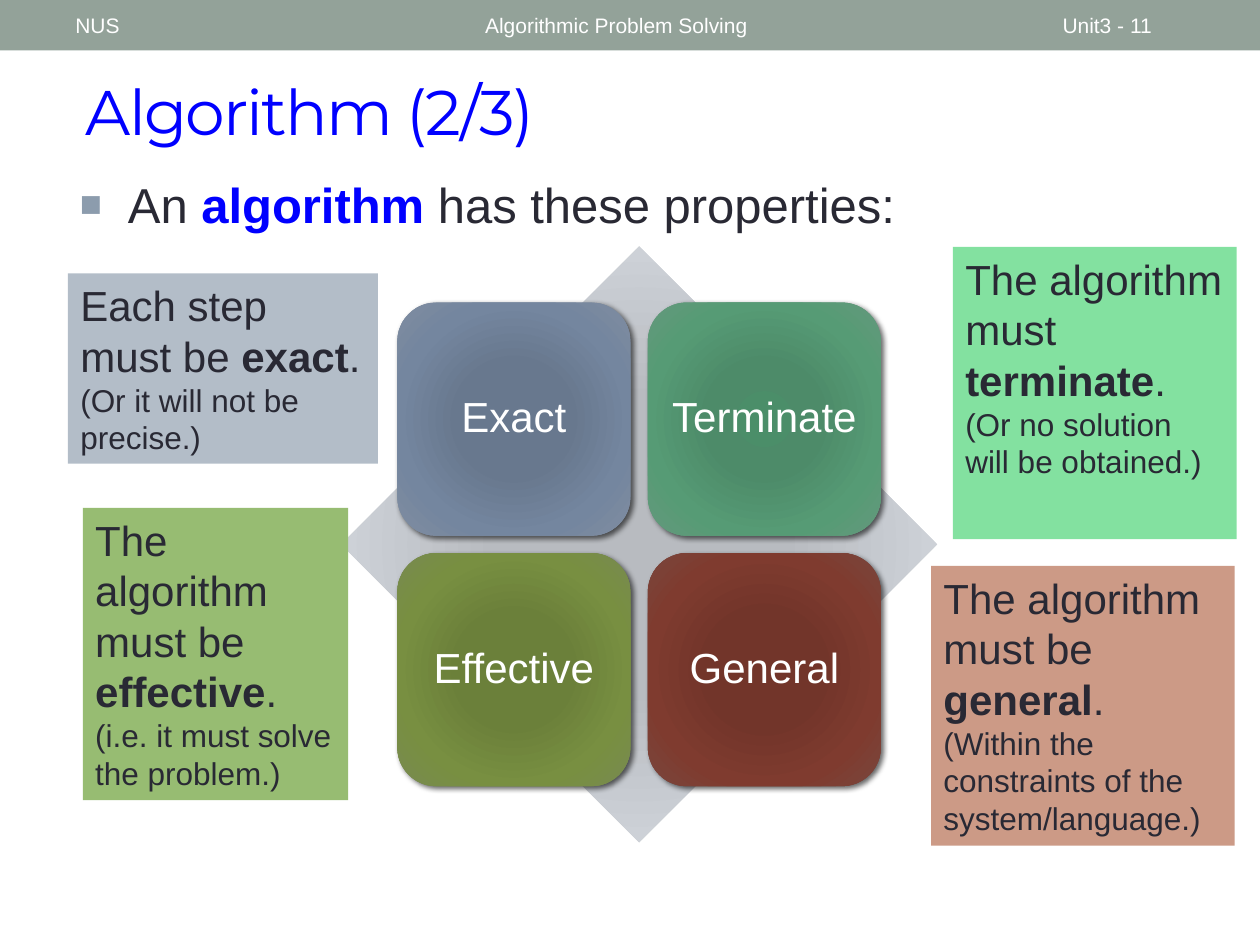
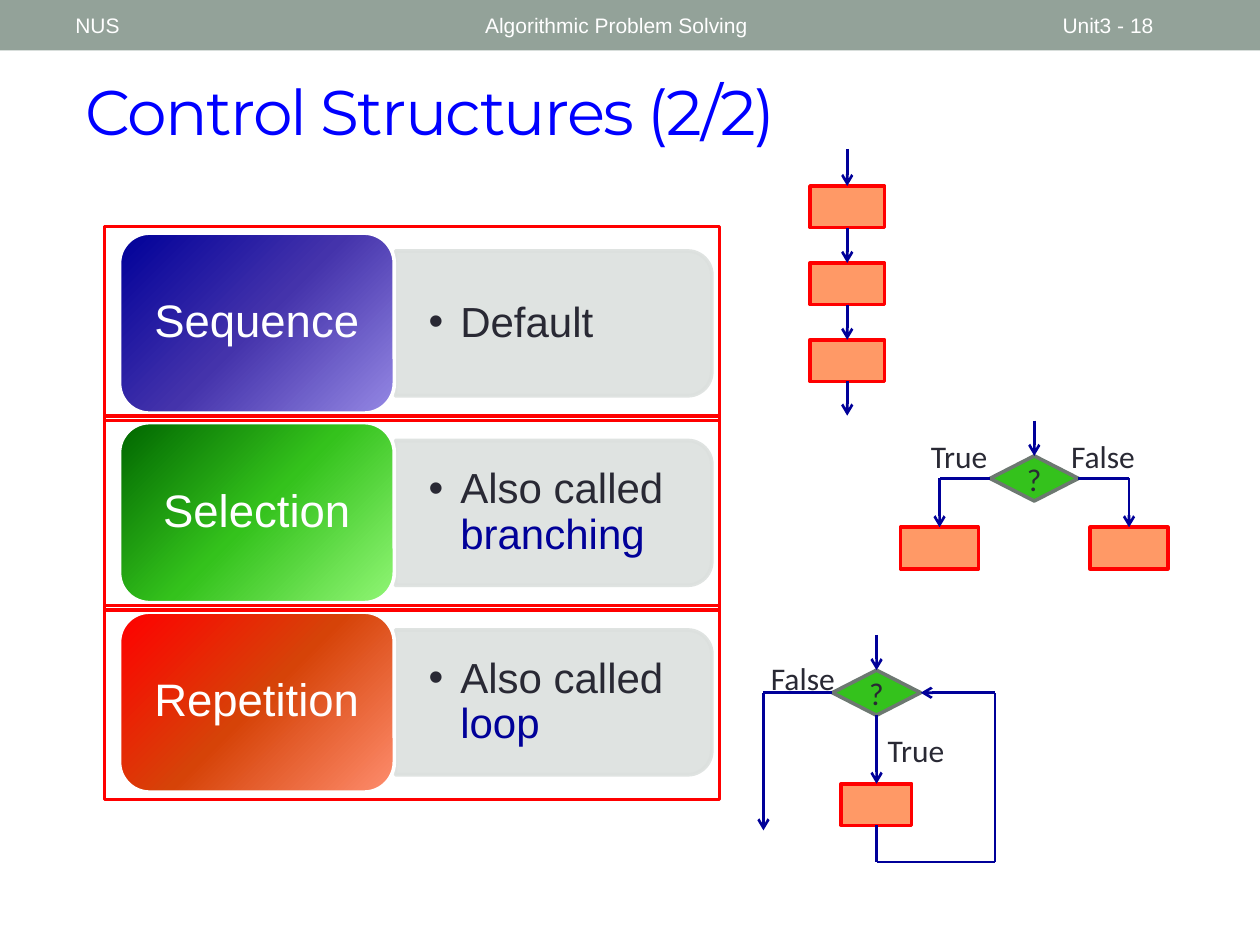
from lxml.etree import SubElement
from pptx import Presentation
from pptx.dml.color import RGBColor
from pptx.enum.shapes import MSO_CONNECTOR, MSO_SHAPE
from pptx.enum.text import MSO_ANCHOR, PP_ALIGN
from pptx.oxml.ns import qn
from pptx.util import Cm, Pt

COLORS = {
    "band": "93A299", "white": "FFFFFF", "title": "0000FF", "ink": "292934",
    "bullet": "8C9CAD", "navy": "000099", "red": "FF0000", "step": "FF9966",
    "decision": "34C21C", "decision_edge": "6D7871", "bar": "DCE0DE",
    "exact": "B3BDC8", "terminate": "83E1A0", "effective": "97BC72", "general": "CC9A86",
}
GRADIENTS = {
    "diamond": ["B7BBC1", "B8BBC0", "CDD1D7", "D8DBDF"],
    "Exact": ["677790", "68788E", "74869F", "808DA0"],
    "Terminate": ["4B8E69", "4D8B69", "569B75", "64987C"],
    "Effective": ["6C8238", "6B803A", "788F41", "788A50"],
    "General": ["743327", "72352A", "7F3B2F", "79463D"],
    "Sequence": ["000099", "4433AB", "9588E4"],
    "Selection": ["006600", "34C21C", "91F676"],
    "Repetition": ["FF0000", "D64308", "FE8D6E"],
}
STEP_HEIGHT = 0.84
DECISION = (1.78, 0.91)


def rgb(name):
    return RGBColor.from_string(COLORS[name])


def node(parent, tag, **attributes):
    return SubElement(parent, qn(f"a:{tag}"), {key: str(value) for key, value in attributes.items()})


def write(shape, text, size=18, font="Arial", color="ink", align=PP_ALIGN.LEFT,
          anchor=MSO_ANCHOR.TOP, insets=(0.25, 0.13), wrap=True, line_spacing=None,
          bullet=None, indent=0, bullet_color=None, bullet_size=100, tracking=None):
    frame = shape.text_frame
    frame.word_wrap = wrap
    frame.vertical_anchor = anchor
    frame.margin_left = frame.margin_right = Cm(insets[0])
    frame.margin_top = frame.margin_bottom = Cm(insets[1])
    paragraphs = [[(text, {})]] if isinstance(text, str) else text
    for index, runs in enumerate(paragraphs):
        paragraph = frame.add_paragraph() if index else frame.paragraphs[0]
        if bullet:
            properties = paragraph._p.get_or_add_pPr()
            properties.set("marL", str(Cm(indent)))
            properties.set("indent", str(-Cm(indent)))
            if bullet_color:
                node(node(properties, "buClr"), "srgbClr", val=COLORS[bullet_color])
            node(properties, "buSzPct", val=bullet_size * 1000)
            node(properties, "buFont", typeface="Arial")
            node(properties, "buChar", char=bullet)
        paragraph.alignment = align
        paragraph.line_spacing = line_spacing
        for words, style in runs:
            run = paragraph.add_run()
            run.text = words
            run.font.name = font
            run.font.size = Pt(style.get("size", size))
            run.font.bold = style.get("bold", False)
            run.font.color.rgb = rgb(style.get("color", color))
            if tracking:
                run._r.get_or_add_rPr().set("spc", str(tracking * 100))


def label(slide, box, text, **style):
    write(slide.shapes.add_textbox(*map(Cm, box)), text, **style)


def draw(slide, kind, box, fill=None, edge=None):
    shape = slide.shapes.add_shape(kind, *map(Cm, box))
    shape.shadow.inherit = False
    if fill:
        shape.fill.solid()
        shape.fill.fore_color.rgb = rgb(fill)
    else:
        shape.fill.background()
    if edge:
        shape.line.color.rgb = rgb(edge)
        shape.line.width = Pt(2.08)
    else:
        shape.line.fill.background()
    return shape


def blend(shape, name, stops, angle=None):
    properties = shape._element.spPr
    shape.fill.background()
    plain = properties.find(qn("a:noFill"))
    gradient = node(properties, "gradFill", rotWithShape=1)
    stop_list = node(gradient, "gsLst")
    for position, color in zip(stops, GRADIENTS[name]):
        node(node(stop_list, "gs", pos=position * 1000), "srgbClr", val=color)
    if angle is None:
        focus = dict.fromkeys("ltrb", 100000)
        node(node(gradient, "path", path="circle"), "fillToRect", **focus)
    else:
        node(gradient, "lin", ang=angle * 60000, scaled=0)
    properties.replace(plain, gradient)


def cast_shadow(shape):
    effects = shape._element.spPr.find(qn("a:effectLst"))
    shadow = node(effects, "outerShdw", blurRad=Pt(3), dist=Pt(2), dir=45 * 60000)
    node(node(shadow, "srgbClr", val="000000"), "alpha", val=60000)


def link(slide, start, end, arrow=True):
    points = [(0, 0) if hasattr(place[0], "shape_id") else place for place in (start, end)]
    line = slide.shapes.add_connector(MSO_CONNECTOR.STRAIGHT, *(Cm(v) for p in points for v in p))
    if hasattr(start[0], "shape_id"):
        line.begin_connect(*start)
    if hasattr(end[0], "shape_id"):
        line.end_connect(*end)
    line.line.color.rgb = rgb("navy")
    line.line.width = Pt(1.5)
    if arrow:
        node(line.line._get_or_add_ln(), "tailEnd", type="arrow")
    node(line._element.spPr, "effectLst")


def start_slide(deck, title, number):
    slide = deck.slides.add_slide(deck.slide_layouts[6])
    draw(slide, MSO_SHAPE.RECTANGLE, (0, 0, 25.4, 1.02), "band")
    label(slide, (1.48, 1.27, 22.66, 1.9), title, size=36, font="Montserrat", color="title",
          anchor=MSO_ANCHOR.MIDDLE, tracking=-1)
    for left, width, words in ((1.27, 8.05, "NUS"), (9.53, 11.43, "Algorithmic Problem Solving"),
                               (21.17, 2.97, f"Unit3 - {number}")):
        label(slide, (left, 0.05, width, 0.91), words, size=12, color="white",
              anchor=MSO_ANCHOR.MIDDLE)
    return slide


def property_matrix(slide, left, top, side):
    diamond = draw(slide, MSO_SHAPE.DIAMOND, (left, top, side, side))
    blend(diamond, "diamond", (0, 34, 70, 100))
    tile, pitch = 4.7, 5.05
    margin = (side - pitch - tile) / 2
    for index, name in enumerate(("Exact", "Terminate", "Effective", "General")):
        row, column = divmod(index, 2)
        box = (left + margin + column * pitch, top + margin + row * pitch, tile, tile)
        shape = draw(slide, MSO_SHAPE.ROUNDED_RECTANGLE, box)
        blend(shape, name, (0, 34, 70, 100))
        cast_shadow(shape)
        write(shape, name, size=24, color="white", align=PP_ALIGN.CENTER,
              anchor=MSO_ANCHOR.MIDDLE, line_spacing=0.9)


def property_note(slide, box, name, rule, remark, same_paragraph=False):
    statement = [(rule, {}), (name, {"bold": True}), (". " if same_paragraph else ".", {})]
    aside = [(remark, {"size": 18})]
    paragraphs = [statement + aside] if same_paragraph else [statement, aside]
    write(draw(slide, MSO_SHAPE.RECTANGLE, box, name), paragraphs, size=24)


def structure_row(slide, left, top, name, remark):
    bar = draw(slide, MSO_SHAPE.ROUND_2_SAME_RECTANGLE,
               (left + 7.59, top - 1.24, 2.92, 6.38), "bar", "bar")
    bar.rotation = 90
    for color in bar._element.spPr.iter(qn("a:srgbClr")):
        node(color, "alpha", val=90000)
    label(slide, (left + 5.84, top + 0.64, 6.25, 2.62), [remark], size=24,
          anchor=MSO_ANCHOR.MIDDLE, insets=(0.69, 0.36), line_spacing=0.9,
          bullet="•", indent=0.64)
    tile = draw(slide, MSO_SHAPE.ROUNDED_RECTANGLE, (left + 0.3, top + 0.13, 5.54, 3.63),
                edge="white")
    blend(tile, name, (0, 50, 100), angle=45)
    write(tile, name, size=26, color="white", align=PP_ALIGN.CENTER,
          anchor=MSO_ANCHOR.MIDDLE, line_spacing=0.9)


def step(slide, middle, top, width):
    return draw(slide, MSO_SHAPE.RECTANGLE, (middle - width / 2, top, width, STEP_HEIGHT),
                "step", "red")


def decision(slide, middle, top):
    width, height = DECISION
    shape = draw(slide, MSO_SHAPE.FLOWCHART_DECISION, (middle - width / 2, top, width, height),
                 "decision", "decision_edge")
    write(shape, "?", font="Calibri", align=PP_ALIGN.CENTER, anchor=MSO_ANCHOR.MIDDLE,
          insets=(0, 0), wrap=False)
    return shape


def outcome(slide, left, top, words):
    label(slide, (left, top, 1.79, 1.02), words, font="Calibri", align=PP_ALIGN.CENTER,
          wrap=False)


def sequence_flow(slide, middle, top):
    previous = (middle, top)
    for index in range(3):
        current = step(slide, middle, top + 0.75 + index * 1.55, 1.5)
        link(slide, previous, (current, 0))
        previous = (current, 2)
    link(slide, previous, (middle, top + 5.38))


def selection_flow(slide, middle, top):
    test = decision(slide, middle, top + 0.71)
    level = top + 0.71 + DECISION[1] / 2
    link(slide, (middle, top), (test, 0))
    for site, reach in ((1, -1.91), (3, 1.91)):
        branch = step(slide, middle + reach, top + 2.15, 1.57)
        corner = (middle + reach, level)
        link(slide, (test, site), corner, arrow=False)
        link(slide, corner, (branch, 0))
    outcome(slide, middle - 2.41, top + 0.21, "True")
    outcome(slide, middle + 0.49, top + 0.21, "False")


def repetition_flow(slide, middle, top):
    test = decision(slide, middle, top + 0.71)
    body = step(slide, middle, top + 3, 1.42)
    level, bottom = top + 0.71 + DECISION[1] / 2, top + 4.58
    leave, back = middle - 2.28, middle + 2.39
    link(slide, (middle, top), (test, 0))
    link(slide, (test, 2), (body, 0))
    link(slide, (body, 2), (middle, bottom), arrow=False)
    link(slide, (middle, bottom), (back, bottom), arrow=False)
    link(slide, (back, bottom), (back, level), arrow=False)
    link(slide, (back, level), (test, 3))
    link(slide, (test, 1), (leave, level), arrow=False)
    link(slide, (leave, level), (leave, top + 3.94))
    outcome(slide, middle - 0.1, top + 1.8, "True")
    outcome(slide, middle - 2.38, top + 0.36, "False")


def algorithm_slide(deck):
    slide = start_slide(deck, "Algorithm (2/3)", 11)
    label(slide, (1.36, 3.38, 21.92, 2.03),
          [[("An ", {}), ("algorithm ", {"bold": True, "color": "title"}),
            ("has these properties:", {})]],
          size=28, bullet="■", indent=0.97, bullet_color="bullet", bullet_size=75)
    property_matrix(slide, 6.88, 4.97, 12.01)
    property_note(slide, (1.37, 5.51, 6.25, 3.84), "exact", "Each step must be ",
                  "(Or it will not be precise.)", same_paragraph=True)
    property_note(slide, (19.21, 4.98, 5.72, 5.89), "terminate", "The algorithm must ",
                  "(Or no solution will be obtained.)")
    property_note(slide, (1.67, 10.24, 5.35, 5.89), "effective", "The algorithm must be ",
                  "(i.e. it must solve the problem.)")
    property_note(slide, (18.77, 11.41, 6.12, 5.64), "general", "The algorithm must be ",
                  "(Within the constraints of the system/language.)")


def structures_slide(deck):
    slide = start_slide(deck, "Control Structures (2/2)", 18)
    left, top, pitch = 2.11, 4.57, 3.82
    key = {"color": "navy"}
    rows = {
        "Sequence": [("Default", {})],
        "Selection": [("Also called ", {}), ("branching", key)],
        "Repetition": [("Also called ", {}), ("loop", key)],
    }
    for index, (name, remark) in enumerate(rows.items()):
        structure_row(slide, left, top + index * pitch, name, remark)
    for index in range(len(rows)):
        draw(slide, MSO_SHAPE.RECTANGLE, (left, top + index * pitch, 12.4, 3.91), edge="red")
    sequence_flow(slide, 17.08, 3)
    selection_flow(slide, 20.85, 8.48)
    repetition_flow(slide, 17.67, 12.8)


def main():
    deck = Presentation()
    deck.slide_width, deck.slide_height = Cm(25.4), Cm(19.05)
    algorithm_slide(deck)
    structures_slide(deck)
    deck.save("out.pptx")


if __name__ == "__main__":
    main()
